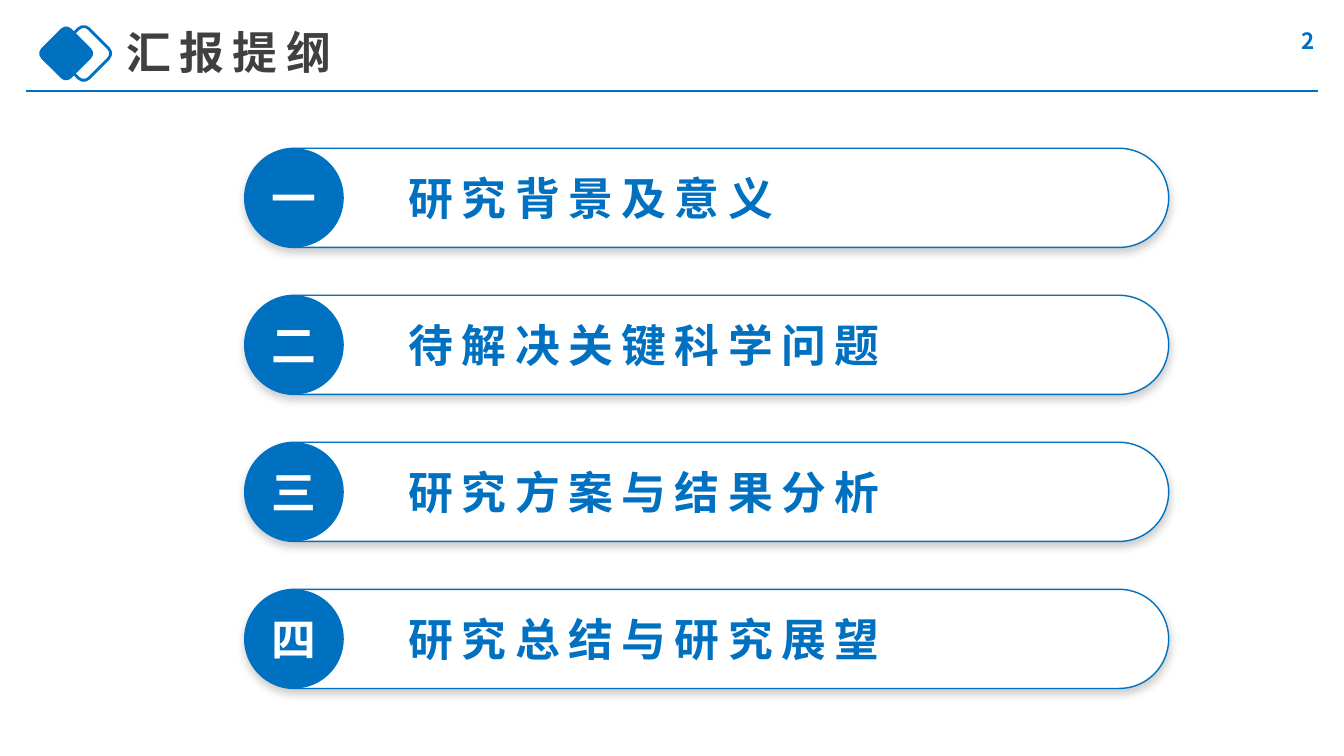
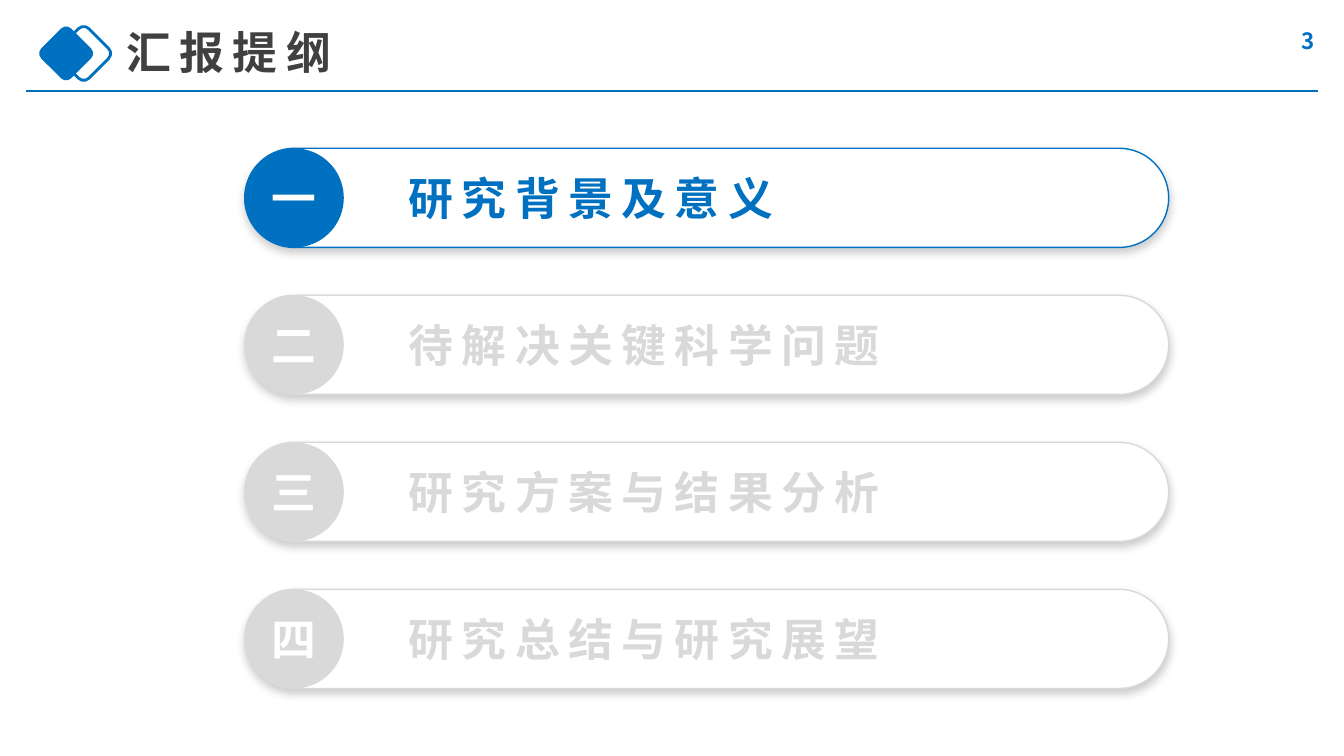
from typing import NamedTuple

from lxml import etree
from pptx import Presentation
from pptx.dml.color import RGBColor
from pptx.enum.shapes import MSO_CONNECTOR, MSO_SHAPE
from pptx.enum.text import MSO_ANCHOR, MSO_AUTO_SIZE, PP_ALIGN
from pptx.oxml.ns import qn
from pptx.util import Emu, Pt

ROUND = MSO_SHAPE.ROUNDED_RECTANGLE
STRAIGHT = MSO_CONNECTOR.STRAIGHT
TOP, MIDDLE = MSO_ANCHOR.TOP, MSO_ANCHOR.MIDDLE
LEFT, RIGHT = PP_ALIGN.LEFT, PP_ALIGN.RIGHT
FIXED = MSO_AUTO_SIZE.NONE

# The slide is a grid of 160 by 90 square cells.
COLS, ROWS, CELL = 160, 90, 76200
FONT = "Noto Sans CJK SC"
COLOR = {
    "blue": "0070C0",
    "dark": "404040",
    "white": "FFFFFF",
    "gray": "D9D9D9",
}


class Box(NamedTuple):
    """A place on the grid, in cells."""
    x: float
    y: float
    w: float
    h: float

    def emu(self) -> list[Emu]:
        return [Emu(round(v * CELL)) for v in self]


class Style(NamedTuple):
    size: int
    color: str
    gap: int = 0
    align: PP_ALIGN = LEFT
    anchor: MSO_ANCHOR = TOP


class Item(NamedTuple):
    mark: str
    label: str


TITLE = "汇报提纲"
ITEMS = [
    Item("一", "研究背景及意义"),
    Item("二", "待解决关键科学问题"),
    Item("三", "研究方案与结果分析"),
    Item("四", "研究总结与研究展望"),
]

PILL = Box(29.13, 17.66, 110, 11.8)
PITCH = 17.5
INSET = 2.06
LABEL_X, MARK_X = 47.48, 31.18
DIAMOND = 5.04


def rgb(name: str) -> RGBColor:
    return RGBColor.from_string(COLOR[name])


def write(shape, text: str, style: Style) -> None:
    frame = shape.text_frame
    frame.text = text
    frame.word_wrap = True
    frame.auto_size = FIXED
    frame.vertical_anchor = style.anchor
    para = frame.paragraphs[0]
    para.alignment = style.align
    for run in para.runs:
        font = run.font
        font.size, font.bold, font.name = Pt(style.size), True, FONT
        font.color.rgb = rgb(style.color)
        props = run._r.get_or_add_rPr()
        props.set("spc", str(style.gap * 100))
        etree.SubElement(props, qn("a:ea"), typeface=FONT)


def add_text(slide, box: Box, text: str, style: Style) -> None:
    write(slide.shapes.add_textbox(*box.emu()), text, style)


def add_round(shapes, box: Box, fill: str = "", line: str = "",
              width: float = 1, bend: float = 0.5):
    """Add a rounded box; an empty colour name means none."""
    shape = shapes.add_shape(ROUND, *box.emu())
    shape.adjustments[0] = bend
    if fill:
        shape.fill.solid()
        shape.fill.fore_color.rgb = rgb(fill)
    else:
        shape.fill.background()
    if line:
        shape.line.color.rgb = rgb(line)
        shape.line.width = Pt(width)
    else:
        shape.line.fill.background()
    shape.shadow.inherit = False
    return shape


def add_shade(shape) -> None:
    """Give the shape a soft shadow straight below it."""
    effects = shape._element.spPr.find(qn("a:effectLst"))
    shade = etree.SubElement(
        effects, qn("a:outerShdw"), blurRad=str(Pt(6)), dist=str(Pt(3)),
        dir="5400000", algn="t", rotWithShape="0")
    tint = etree.SubElement(shade, qn("a:srgbClr"), val="000000")
    etree.SubElement(tint, qn("a:alpha"), val="20000")


def add_header(slide, title: str, number: int) -> None:
    badge = slide.shapes.add_group_shape()
    for x, fill, line in ((7.44, "", "blue"), (5.35, "blue", "")):
        box = Box(x, 3.84, DIAMOND, DIAMOND)
        add_round(badge.shapes, box, fill, line, 2, 0.17).rotation = 45

    head = slide.shapes.title
    head.left, head.top, head.width, head.height = Box(13.85, 2.3, 60.8, 7.7).emu()
    write(head, title, Style(32, "dark", 6))

    x, y, end, _ = Box(3.1, 10.85, 156.9, 0).emu()
    rule = slide.shapes.add_connector(STRAIGHT, x, y, end, y)
    rule.line.color.rgb = rgb("blue")
    rule.line.width = Pt(1.5)
    etree.SubElement(rule._element.spPr, qn("a:effectLst"))

    add_text(slide, Box(121.7, 2.4, 36, 4.8), str(number),
             Style(16, "blue", 0, RIGHT, MIDDLE))


def add_row(slide, index: int, item: Item, tone: str) -> None:
    pill = PILL._replace(y=PILL.y + index * PITCH)
    add_shade(add_round(slide.shapes, pill, "white", tone))
    add_round(slide.shapes, pill._replace(w=pill.h), tone)
    line = Box(LABEL_X, pill.y + INSET, 90, 8.4)
    add_text(slide, line, item.label, Style(32, tone, 6))
    add_text(slide, line._replace(x=MARK_X, w=pill.h), item.mark,
             Style(32, "white", 6))


def add_outline(deck, number: int, live: range) -> None:
    """Add an outline slide on which the rows in live stand out."""
    slide = deck.slides.add_slide(deck.slide_layouts[5])
    add_header(slide, TITLE, number)
    for index, item in enumerate(ITEMS):
        add_row(slide, index, item, "blue" if index in live else "gray")


def main() -> None:
    deck = Presentation()
    deck.slide_width, deck.slide_height = Emu(COLS * CELL), Emu(ROWS * CELL)
    add_outline(deck, 2, range(len(ITEMS)))
    add_outline(deck, 3, range(1))
    deck.save("out.pptx")


if __name__ == "__main__":
    main()
